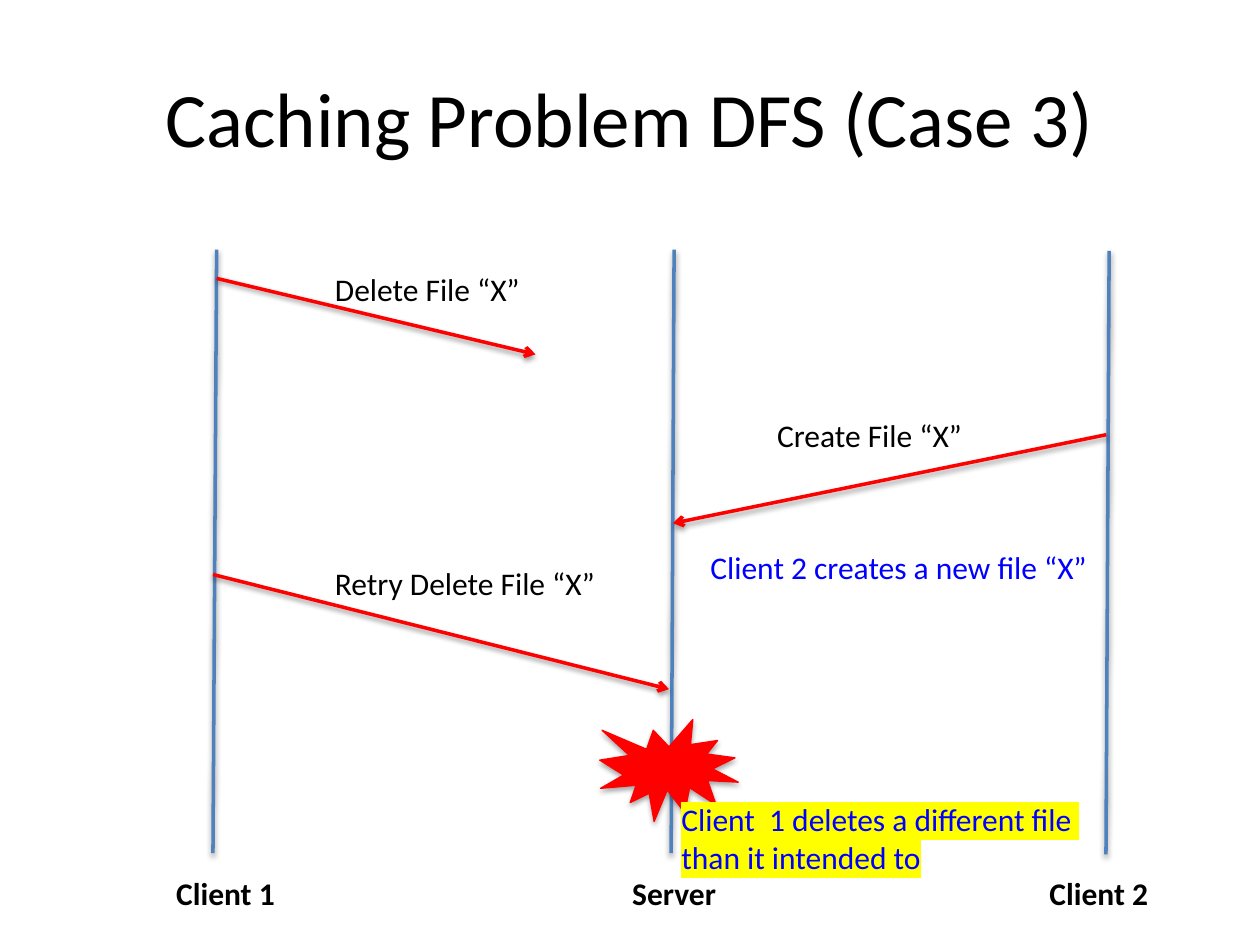
from typing import NamedTuple

from lxml import etree
from pptx import Presentation
from pptx.dml.color import RGBColor
from pptx.enum.shapes import MSO_CONNECTOR, MSO_SHAPE
from pptx.enum.text import MSO_ANCHOR, MSO_AUTO_SIZE, PP_ALIGN
from pptx.oxml.ns import qn
from pptx.util import Pt

LINE = MSO_CONNECTOR.STRAIGHT
BURST = MSO_SHAPE.EXPLOSION1
LEFT, CENTER = PP_ALIGN.LEFT, PP_ALIGN.CENTER
TOP, MIDDLE = MSO_ANCHOR.TOP, MSO_ANCHOR.MIDDLE
GROW, FIXED = MSO_AUTO_SIZE.SHAPE_TO_FIT_TEXT, MSO_AUTO_SIZE.NONE

FONT = "Calibri"
BLACK, BLUE, RED = "000000", "0000FF", "FF0000"
STEEL, YELLOW = "4F81BD", "FFFF00"
ROW = 29  # height of a one-line label


class Actor(NamedTuple):
    name: str
    x: float      # upper end of the lifeline
    top: float
    lean: float   # shift to the left at the lower end
    left: float   # label
    width: float


class Message(NamedTuple):
    text: str
    start: tuple[float, float]
    end: tuple[float, float]
    left: float
    top: float
    width: float


ACTORS = [
    Actor("Client 1", 123.8, 142.6, 2.1, 93.6, 71.3),
    Actor("Server", 385.2, 142.6, 1.7, 354.2, 63.4),
    Actor("Client 2", 633.8, 143.3, 1.8, 592.6, 71.3),
]
MESSAGES = [
    Message("Delete File “X”", (123.8, 159.1), (306, 202.5), 184.3, 150.5, 121.7),
    Message("Create File “X”", (632.2, 248.4), (384.5, 299), 437, 234, 122.4),
    Message("Retry Delete File “X”", (121.7, 328.3), (382.3, 393.8), 184.3, 319, 165.6),
]


def color(code: str) -> RGBColor:
    return RGBColor.from_string(code)


def shade(shape, dist: float, alpha: int) -> None:
    """Drop a soft black shadow straight down."""
    effects = etree.SubElement(shape._element.spPr, qn("a:effectLst"))
    drop = etree.SubElement(effects, qn("a:outerShdw"), blurRad=str(Pt(3.1)),
                            dist=str(Pt(dist)), dir="5400000", rotWithShape="0")
    black = etree.SubElement(drop, qn("a:srgbClr"), val=BLACK)
    etree.SubElement(black, qn("a:alpha"), val=str(alpha * 1000))


def draw_line(slide, start: tuple[float, float], end: tuple[float, float],
              code: str, arrow: bool = False) -> None:
    line = slide.shapes.add_connector(LINE, *(Pt(v) for v in (*start, *end)))
    line.line.color.rgb = color(code)
    line.line.width = Pt(2)
    if arrow:
        stroke = line._element.spPr.find(qn("a:ln"))
        etree.SubElement(stroke, qn("a:tailEnd"), type="arrow")
    shade(line, 1.6, 38)


def write(slide, text: str, left: float, top: float, width: float,
          height: float = ROW, *, size: float = 18, code: str = BLACK,
          bold: bool = False, mark: str = "", align=LEFT, anchor=TOP,
          wrap: bool = False, fit=GROW) -> None:
    """Add a text box with one paragraph for each line of text."""
    box = slide.shapes.add_textbox(Pt(left), Pt(top), Pt(width), Pt(height))
    frame = box.text_frame
    frame.word_wrap = wrap
    frame.auto_size = fit
    frame.vertical_anchor = anchor
    frame.text = text
    for para in frame.paragraphs:
        para.alignment = align
        for run in para.runs:
            font = run.font
            font.name, font.size, font.bold = FONT, Pt(size), bold
            font.color.rgb = color(code)
            if mark:
                light = etree.Element(qn("a:highlight"))
                etree.SubElement(light, qn("a:srgbClr"), val=mark)
                run._r.rPr.find(qn("a:solidFill")).addnext(light)


def draw_burst(slide, left: float, top: float, width: float,
               height: float) -> None:
    burst = slide.shapes.add_shape(BURST, Pt(left), Pt(top), Pt(width), Pt(height))
    burst.fill.solid()
    burst.fill.fore_color.rgb = color(RED)
    burst.line.color.rgb = color(RED)
    burst.line.width = Pt(0.75)
    shade(burst, 1.8, 35)


def main() -> None:
    deck = Presentation()
    deck.slide_width, deck.slide_height = Pt(720), Pt(540)
    slide = deck.slides.add_slide(deck.slide_layouts[6])

    write(slide, "Caching Problem DFS (Case 3)", 36, 21.6, 648, 90, size=44,
          align=CENTER, anchor=MIDDLE, wrap=True, fit=FIXED)
    for a in ACTORS:
        draw_line(slide, (a.x, a.top), (a.x - a.lean, a.top + 344.9), STEEL)
        write(slide, a.name, a.left, 496.1, a.width, bold=True)
    for m in MESSAGES:
        draw_line(slide, m.start, m.end, RED, arrow=True)
        write(slide, m.text, m.left, m.top, m.width)

    write(slide, "Client 2 creates a new file “X”", 398.9, 309.6, 232.6, code=BLUE)
    draw_burst(slide, 342.7, 411.1, 79.2, 58.3)
    write(slide, "Client  1 deletes a different file \nthan it intended to",
          382.3, 453.6, 244.8, 51, code=BLUE, mark=YELLOW)
    deck.save("out.pptx")


if __name__ == "__main__":
    main()
